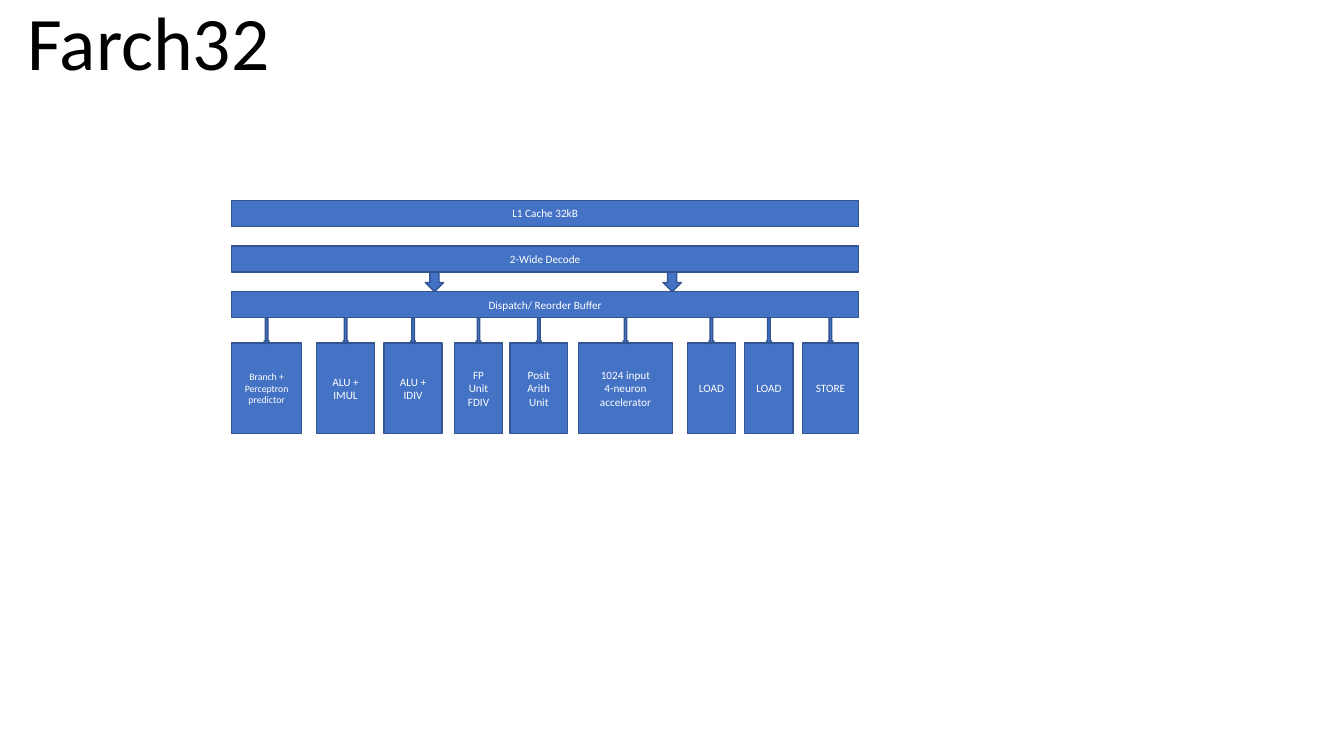
"""Build the Farch32 block diagram slide."""
from pptx import Presentation
from pptx import util as u
from pptx.dml.color import RGBColor
from pptx.enum import shapes, text

TITLE = "Farch32"
BARS = ["L1 Cache 32kB", "2-Wide Decode", "Dispatch/ Reorder Buffer"]
UNITS = [
    ("Branch +\nPerceptron\npredictor", 5.84, 1.76, 7),
    ("ALU + IMUL", 7.98, 1.46, 8),
    ("ALU + IDIV", 9.68, 1.46, 8),
    ("FP Unit\nFDIV", 11.46, 1.2, 8),
    ("Posit\nArith\nUnit", 12.85, 1.46, 8),
    ("1024 input\n4-neuron accelerator", 14.58, 2.37, 8),
    ("LOAD", 17.32, 1.22, 8),
    ("LOAD", 18.77, 1.22, 8),
    ("STORE", 20.22, 1.42, 8),
]
FEEDS = [10.95, 16.94]
COLORS = {"fill": "4472C4", "line": "325491", "label": "FFFFFF", "title": "000000"}
LEFT, TOP, WIDTH, BAR, STEP = 5.84, 5.05, 15.8, 0.66, 1.15
UNIT_TOP, UNIT_HIGH = 8.64, 2.29
KIND = shapes.MSO_SHAPE


def color(key):
    return RGBColor.from_string(COLORS[key])


def put(obj, **vals):
    for key, val in vals.items():
        setattr(obj, key, val)


def write(shape, words, size, key, frame, para):
    body = shape.text_frame
    body.text = words
    put(body, word_wrap=True, auto_size=text.MSO_AUTO_SIZE.NONE, **frame)
    for item in body.paragraphs:
        put(item, **para)
        put(item.font, name="Calibri", size=u.Pt(size))
        item.font.color.rgb = color(key)


def draw(slide, kind, *box):
    shape = slide.shapes.add_shape(kind, *map(u.Cm, box))
    shape.shadow.inherit = False
    shape.fill.solid()
    shape.fill.fore_color.rgb = color("fill")
    shape.line.color.rgb = color("line")
    shape.line.width = u.Pt(1)
    return shape


def block(slide, words, size, *box):
    write(draw(slide, KIND.RECTANGLE, *box), words, size, "label",
          {"vertical_anchor": text.MSO_ANCHOR.MIDDLE},
          {"alignment": text.PP_ALIGN.CENTER})


def arrow(slide, mid, top, wide, high):
    draw(slide, KIND.DOWN_ARROW, mid - wide / 2, top, wide, high)


def main():
    deck = Presentation()
    put(deck, slide_width=u.Cm(33.87), slide_height=u.Cm(19.05))
    slide = deck.slides.add_slide(deck.slide_layouts[5])
    title = slide.shapes.title
    put(title, left=u.Cm(0.43), top=u.Cm(0.76), width=u.Cm(25.4), height=u.Cm(1.55))
    write(title, TITLE, 54, "title",
          {"vertical_anchor": text.MSO_ANCHOR.BOTTOM},
          {"alignment": text.PP_ALIGN.LEFT, "line_spacing": 0.9})

    for row, words in enumerate(BARS):
        block(slide, words, 8, LEFT, TOP + row * STEP, WIDTH, BAR)
    for words, left, wide, size in UNITS:
        block(slide, words, size, left, UNIT_TOP, wide, UNIT_HIGH)
        arrow(slide, left + wide / 2, TOP + 2 * STEP + BAR, 0.13, 0.65)
    for mid in FEEDS:
        arrow(slide, mid, TOP + STEP + BAR, 0.46, STEP - BAR)
    deck.save("out.pptx")


if __name__ == "__main__":
    main()
